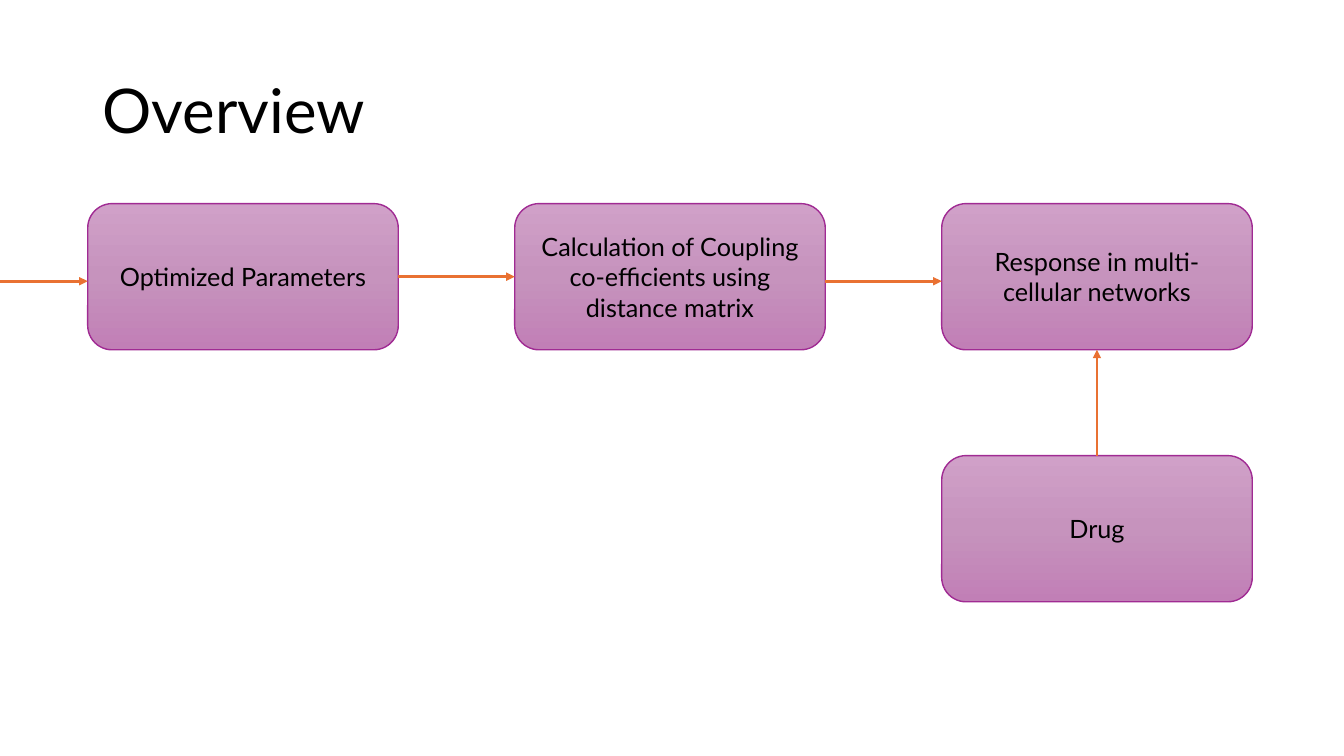
from copy import deepcopy

from lxml.etree import SubElement
from pptx import Presentation
from pptx.dml.color import RGBColor
from pptx.enum.shapes import MSO_CONNECTOR, MSO_SHAPE
from pptx.enum.text import MSO_ANCHOR, PP_ALIGN
from pptx.oxml.ns import qn
from pptx.util import Inches, Pt

COLORS = {
    "text": "000000",
    "box_top": "D0A0C8",
    "box_middle": "C693BD",
    "box_bottom": "C17FB6",
    "box_line": "A02B93",
    "arrow": "E97132",
}
FONT = "Lato"
SLIDE_WIDTH, SLIDE_HEIGHT = 13.33, 7.5
BOX_WIDTH, BOX_HEIGHT = 3.08, 1.45
FLOW_LEFT, FLOW_TOP = 0.87, 2.02
COLUMN_STEP, ROW_STEP = 4.235, 2.5
SIDE_ARROW_Y = 2.79
TOP, LEFT, BOTTOM, RIGHT = range(4)


def color(name):
    """Return the named colour."""
    return RGBColor.from_string(COLORS[name])


def write_text(shape, text, size=18, align=PP_ALIGN.CENTER, spacing=None):
    """Write one formatted, vertically centred paragraph into a shape."""
    frame = shape.text_frame
    frame.word_wrap = True
    frame.vertical_anchor = MSO_ANCHOR.MIDDLE
    paragraph = frame.paragraphs[0]
    paragraph.alignment = align
    paragraph.line_spacing = spacing
    run = paragraph.add_run()
    run.text = text
    run.font.name = FONT
    run.font.size = Pt(size)
    run.font.color.rgb = color("text")


def fill_gradient(shape):
    """Fill a shape with the three-stop gradient, top to bottom."""
    shape.fill.gradient()
    shape.fill.gradient_angle = 270
    stop_list = shape._element.spPr.find(qn("a:gradFill")).find(qn("a:gsLst"))
    stop_list.insert(1, deepcopy(stop_list[0]))
    names = ("box_top", "box_middle", "box_bottom")
    for index, (stop, name) in enumerate(zip(shape.fill.gradient_stops, names)):
        stop.position = index / 2
        stop.color.rgb = color(name)


def add_title(slide, text, left, top, width, height):
    """Add the slide title in the given box."""
    title = slide.shapes.add_textbox(*map(Inches, (left, top, width, height)))
    write_text(title, text, size=44, align=PP_ALIGN.LEFT, spacing=0.9)


def add_step(slide, text, left, top):
    """Add one rounded step of the flow."""
    step = slide.shapes.add_shape(
        MSO_SHAPE.ROUNDED_RECTANGLE,
        *map(Inches, (left, top, BOX_WIDTH, BOX_HEIGHT)),
    )
    step.shadow.inherit = False
    fill_gradient(step)
    step.line.color.rgb = color("box_line")
    step.line.width = Pt(1)
    write_text(step, text)
    return step


def add_arrow(slide, start=(0, 0), end=(0, 0)):
    """Add an arrow between two points given in inches."""
    arrow = slide.shapes.add_connector(
        MSO_CONNECTOR.STRAIGHT, *map(Inches, (*start, *end))
    )
    arrow.line.color.rgb = color("arrow")
    arrow.line.width = Pt(2)
    SubElement(arrow.line._get_or_add_ln(), qn("a:tailEnd"), type="triangle")
    SubElement(arrow._element.spPr, qn("a:effectLst"))
    return arrow


def join_steps(slide, source, source_side, target, target_side):
    """Join the sides of two steps with an arrow."""
    arrow = add_arrow(slide)
    arrow.begin_connect(source, source_side)
    arrow.end_connect(target, target_side)


def add_flow(slide, left, top):
    """Add the steps on their grid and the arrows between them."""
    columns = [left + COLUMN_STEP * index for index in range(3)]
    labels = (
        "Optimized Parameters",
        "Calculation of Coupling co-efficients using distance matrix",
        "Response in multi-cellular networks",
    )
    parameters, coupling, response = [
        add_step(slide, label, column, top) for label, column in zip(labels, columns)
    ]
    drug = add_step(slide, "Drug", columns[2], top + ROW_STEP)

    add_arrow(slide, (left - 1.28, SIDE_ARROW_Y), (left, SIDE_ARROW_Y))
    join_steps(slide, parameters, RIGHT, coupling, LEFT)
    add_arrow(
        slide, (columns[1] + BOX_WIDTH, SIDE_ARROW_Y), (columns[2], SIDE_ARROW_Y)
    )
    join_steps(slide, drug, TOP, response, BOTTOM)


def main():
    """Build and save the overview slide."""
    presentation = Presentation()
    presentation.slide_width = Inches(SLIDE_WIDTH)
    presentation.slide_height = Inches(SLIDE_HEIGHT)
    slide = presentation.slides.add_slide(presentation.slide_layouts[6])
    add_title(slide, "Overview", 0.92, 0.4, 11.5, 1.45)
    add_flow(slide, FLOW_LEFT, FLOW_TOP)
    presentation.save("out.pptx")


if __name__ == "__main__":
    main()
